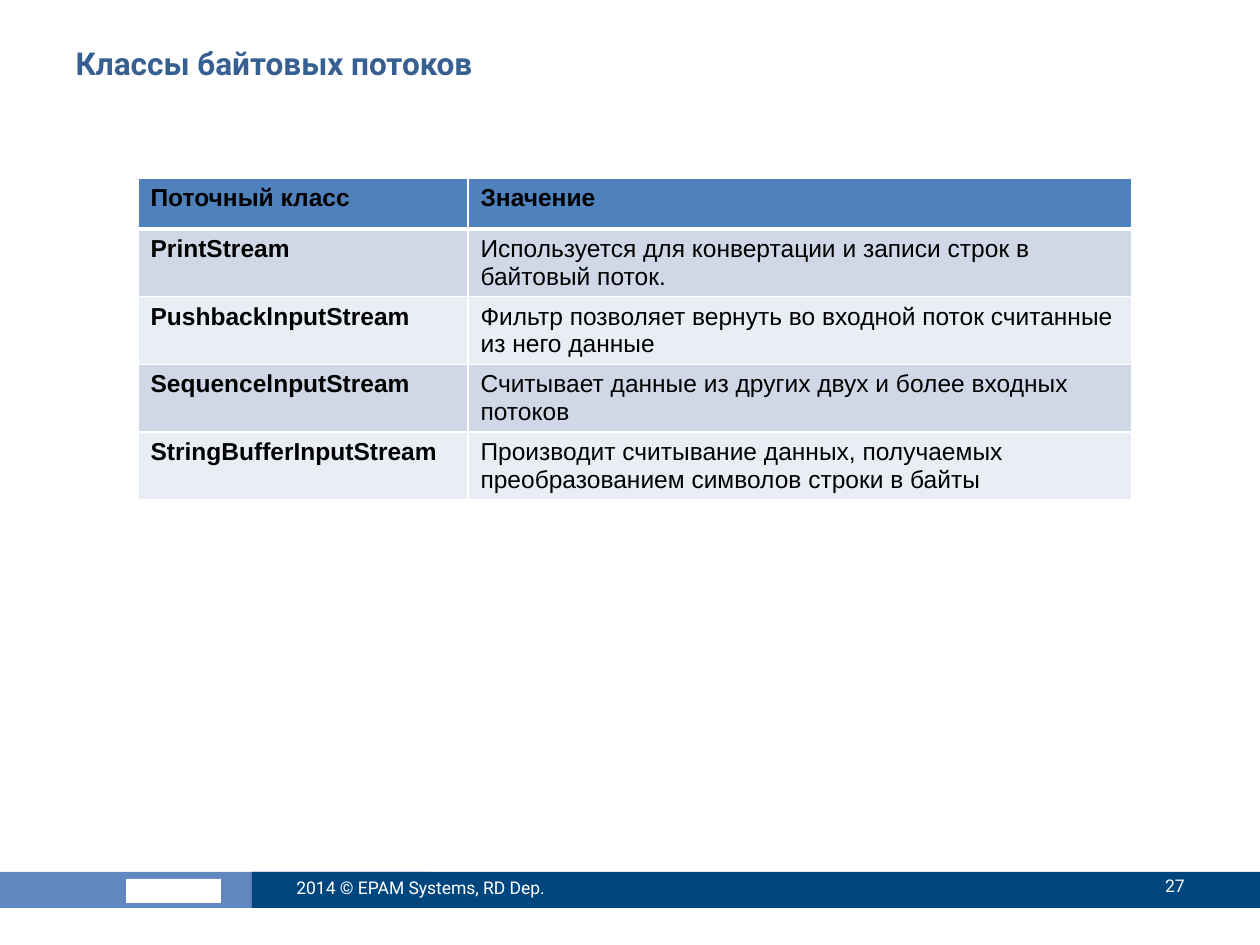
from lxml import etree
from pptx import Presentation
from pptx.dml.color import RGBColor
from pptx.enum.shapes import MSO_SHAPE
from pptx.enum.text import MSO_ANCHOR, PP_ALIGN
from pptx.oxml.ns import qn
from pptx.util import Pt

RECT = MSO_SHAPE.RECTANGLE
TOP, MIDDLE = MSO_ANCHOR.TOP, MSO_ANCHOR.MIDDLE
LEFT, RIGHT = PP_ALIGN.LEFT, PP_ALIGN.RIGHT

TITLE = "Классы байтовых потоков"
ROWS = [
    ("Поточный класс", "Значение"),
    ("PrintStream",
     "Используется для конвертации и записи строк в байтовый поток."),
    ("PushbacklnputStream",
     "Фильтр позволяет вернуть во входной поток считанные из него данные"),
    ("SequencelnputStream",
     "Считывает данные из других двух и более входных потоков"),
    ("StringBufferInputStream",
     "Производит считывание данных, получаемых преобразованием символов "
     "строки в байты"),
]
BARS = [  # box, colour; the small bar stands for the logo
    ((-2, 872, 432, 36), "light"),
    ((126, 879, 95, 24), "white"),
    ((252, 872, 1008, 36), "dark"),
]
FOOTER = [  # text, box, alignment
    ("2014 © EPAM Systems, RD Dep.", (284, 863, 336, 50), LEFT),
    ("27", (1061, 861, 136, 50), RIGHT),
]
TITLE_BOX = (63, 38, 1134, 98)
TABLE_AT = (138, 178)
COLS = (330, 664)
HEAD_H, ROW_H = 51, 67

THEME = {
    "white": "FFFFFF", "light": "6087BF", "dark": "00467E",
    "head": "4F81BD", "bands": ("D0D8E8", "E9EDF4"),
    "title": {"name": "Roboto", "size": Pt(18), "bold": True,
              "color": "376092"},
    "cell": {"name": "Arial", "size": Pt(14), "color": "000000"},
    "footer": {"name": "Roboto", "size": Pt(10), "color": "FFFFFF"},
}
SCALE = 914400 / 126


def px(*vals):
    """Turn px lengths into EMU."""
    return [round(v * SCALE) for v in vals]


def paint(fill, color):
    fill.solid()
    fill.fore_color.rgb = RGBColor.from_string(color)


def write(frame, text, style, align=LEFT):
    frame.word_wrap = True
    para = frame.paragraphs[0]
    para.alignment = align
    run = para.add_run()
    run.text = text
    for key, val in style.items():
        if key == "color":
            run.font.color.rgb = RGBColor.from_string(val)
        else:
            setattr(run.font, key, val)


def edge(cell, color, low):
    """Draw 1 pt cell borders, with the bottom one low points wide."""
    props = cell._tc.get_or_add_tcPr()
    for i, side in enumerate("LRTB"):
        width = Pt(low if side == "B" else 1)
        line = etree.Element(qn("a:ln" + side), w=str(width))
        fill = etree.SubElement(line, qn("a:solidFill"))
        etree.SubElement(fill, qn("a:srgbClr"), val=color)
        props.insert(i, line)


def add_grid(slide):
    high = HEAD_H + ROW_H * (len(ROWS) - 1)
    box = px(*TABLE_AT, sum(COLS), high)
    table = slide.shapes.add_table(len(ROWS), len(COLS), *box).table
    for col, width in zip(table.columns, px(*COLS)):
        col.width = width
    for i, texts in enumerate(ROWS):
        head = i == 0
        table.rows[i].height = px(HEAD_H if head else ROW_H)[0]
        color = THEME["head"] if head else THEME["bands"][(i - 1) % 2]
        for j, text in enumerate(texts):
            cell = table.cell(i, j)
            paint(cell.fill, color)
            edge(cell, THEME["white"], 3 if head else 1)
            write(cell.text_frame, text,
                  THEME["cell"] | {"bold": head or j == 0})


def main():
    deck = Presentation()
    deck.slide_width, deck.slide_height = px(1260, 945)
    slide = deck.slides.add_slide(deck.slide_layouts[5])

    for box, color in BARS:
        bar = slide.shapes.add_shape(RECT, *px(*box))
        bar.shadow.inherit = False
        paint(bar.fill, THEME[color])
        bar.line.fill.background()

    title = slide.shapes.title
    title.left, title.top, title.width, title.height = px(*TITLE_BOX)
    title.text_frame.vertical_anchor = TOP
    write(title.text_frame, TITLE, THEME["title"])

    add_grid(slide)

    for text, box, align in FOOTER:
        frame = slide.shapes.add_textbox(*px(*box)).text_frame
        frame.vertical_anchor = MIDDLE
        write(frame, text, THEME["footer"], align)

    deck.save("out.pptx")


if __name__ == "__main__":
    main()
